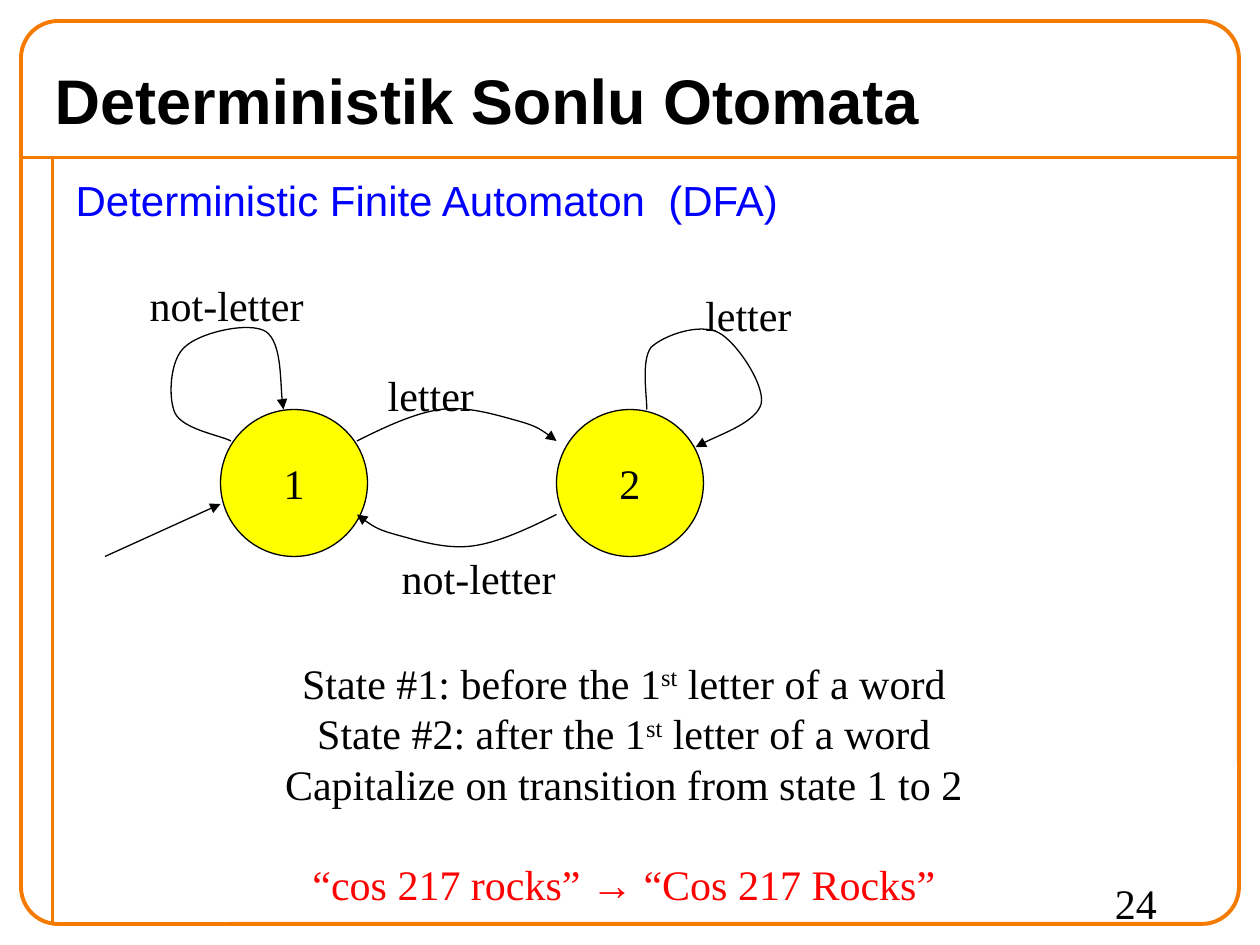
from dataclasses import dataclass

from lxml import etree
from pptx import Presentation
from pptx.dml.color import RGBColor
from pptx.enum import shapes, text
from pptx.oxml import ns
from pptx.util import Pt


@dataclass(frozen=True)
class Theme:
    """Hold the colours, fonts and sizes of the slide."""
    ink: RGBColor = RGBColor(0, 0, 0)
    border: RGBColor = RGBColor(0xF4, 0x7A, 0)
    heading: RGBColor = RGBColor(0, 0, 0xFF)
    state: RGBColor = RGBColor(0xFF, 0xFF, 0)
    example: RGBColor = RGBColor(0xFF, 0, 0)
    sans: str = "Arial"
    serif: str = "Times New Roman"
    title_size: float = 36
    text_size: float = 24
    leading: float = 28.8
    border_width: float = 2.25
    arrow_width: float = 0.75


THEME = Theme()
LETTER, NOT_LETTER = ("letter", 66), ("not-letter", 105)
ORDINAL = [("1", {}), ("st", {"baseline": 30000}), (" letter of a word", {})]


def assign(target, values):
    """Set every attribute named in values on the target."""
    for name, value in values.items():
        setattr(target, name, value)


def place(shape, box):
    """Move and size a shape to a box in points."""
    assign(shape, dict(zip(("left", "top", "width", "height"), map(Pt, box))))


def add_run(paragraph, words, color=THEME.ink, face=THEME.serif,
            size=THEME.text_size, bold=False, baseline=0):
    """Append one formatted run to a paragraph."""
    run = paragraph.add_run()
    run.text = words
    assign(run.font, {"name": face, "size": Pt(size), "bold": bold})
    run.font.color.rgb = color
    if baseline:
        run._r.get_or_add_rPr().set("baseline", str(baseline))


def add_label(slide, words, box, wrap=False):
    """Add a text box with one serif line."""
    label = slide.shapes.add_textbox(*map(Pt, box)).text_frame
    assign(label, {"word_wrap": wrap,
                   "auto_size": text.MSO_AUTO_SIZE.SHAPE_TO_FIT_TEXT})
    label.paragraphs[0].line_spacing = Pt(THEME.leading)
    add_run(label.paragraphs[0], words)


def stroke(shape, color, width, arrow=False):
    """Draw a shadowless line, with an optional arrowhead at its end."""
    shape.line.color.rgb = color
    shape.line.width = Pt(width)
    properties = shape._element.spPr
    if arrow:
        etree.SubElement(properties.find(ns.qn("a:ln")),
                         ns.qn("a:tailEnd"), type="triangle")
    etree.SubElement(properties, ns.qn("a:effectLst"))


def add_line(slide, start, end, color, width, arrow=False):
    """Add a straight line between two points."""
    line = slide.shapes.add_connector(
        shapes.MSO_CONNECTOR.STRAIGHT, *map(Pt, start + end))
    stroke(line, color, width, arrow)


def add_curve(slide, points, origin):
    """Add an arrow of cubic curves from a start and triples of points."""
    spots = [(Pt(origin[0] + x), Pt(origin[1] + y)) for x, y in points]
    builder = slide.shapes.build_freeform(*spots[0], scale=1.0)
    builder.add_line_segments(spots[1:], close=False)
    curve = builder.convert_to_shape()
    curve.fill.background()
    stroke(curve, THEME.ink, THEME.arrow_width, True)
    segments = list(curve._element.iter(ns.qn("a:lnTo")))
    outline = segments[0].getparent()
    for first in range(0, len(segments), 3):
        bezier = etree.SubElement(outline, ns.qn("a:cubicBezTo"))
        for segment in segments[first:first + 3]:
            bezier.append(segment[0])
            outline.remove(segment)


def draw_border(slide, box):
    """Draw the rounded border with its title rule and side rail."""
    left, top, width, height = box
    border = slide.shapes.add_shape(
        shapes.MSO_SHAPE.ROUNDED_RECTANGLE, *map(Pt, box))
    border.adjustments[0] = 0.041
    border.fill.background()
    stroke(border, THEME.border, THEME.border_width)
    rule, rail = top + 78, left + 18
    for start, end in (((left, rule), (left + width, rule)),
                       ((rail, rule), (rail, top + height))):
        add_line(slide, start, end, THEME.border, THEME.border_width)


def fill_title(slide, box):
    """Fill the title placeholder."""
    title = slide.shapes.title
    place(title, box)
    assign(title.text_frame, {"vertical_anchor": text.MSO_ANCHOR.MIDDLE,
                              "auto_size": text.MSO_AUTO_SIZE.NONE})
    heading = title.text_frame.paragraphs[0]
    heading.alignment = text.PP_ALIGN.LEFT
    add_run(heading, "Deterministik Sonlu Otomata", face=THEME.sans,
            size=THEME.title_size, bold=True)


def fill_body(slide, box):
    """Fill the body placeholder with the unbulleted subject."""
    body = slide.placeholders[1]
    place(body, box)
    body.text_frame.auto_size = text.MSO_AUTO_SIZE.NONE
    subject = body.text_frame.paragraphs[0]
    subject.space_before = Pt(15)
    properties = subject._p.get_or_add_pPr()
    properties.set("marL", str(Pt(17)))
    properties.set("indent", str(Pt(-17)))
    etree.SubElement(properties, ns.qn("a:buNone"))
    add_run(subject, "Deterministic Finite Automaton  (DFA)",
            THEME.heading, THEME.sans)


def draw_automaton(slide, box):
    """Draw the two states, their transitions and the entry arrow."""
    left, top = box[:2]
    diameter, pitch = 84, 192
    for index in range(2):
        state = slide.shapes.add_shape(
            shapes.MSO_SHAPE.OVAL, Pt(left + 66 + index * pitch), Pt(top + 78),
            Pt(diameter), Pt(diameter))
        state.fill.solid()
        state.fill.fore_color.rgb = THEME.state
        stroke(state, THEME.ink, THEME.arrow_width)
        assign(state.text_frame, {"word_wrap": False,
                                  "vertical_anchor": text.MSO_ANCHOR.MIDDLE})
        number = state.text_frame.paragraphs[0]
        assign(number, {"alignment": text.PP_ALIGN.CENTER,
                        "line_spacing": Pt(THEME.leading)})
        add_run(number, str(index + 1))

    forward = [(144, 96), (160, 88), (177, 80), (192, 78), (207, 76),
               (223, 81), (234, 84), (245, 87), (249, 89), (258, 96)]
    back = [(402 - x, 234 - y) for x, y in forward]
    first_loop = [(72, 96), (67, 93), (44.5, 89.5), (40, 80), (36, 71.5),
                  (37, 49), (46, 42), (54.5, 34), (82.5, 27.5), (92, 33.5),
                  (101, 40), (100, 68.5), (102, 78)]
    second_loop = [(309.5, 78), (310, 72), (306, 50.5), (312, 42.5),
                   (319.5, 35.5), (339.5, 28.5), (350.5, 34), (360.5, 39),
                   (377, 63.5), (375, 74.5), (372.5, 85), (345.5, 94.5),
                   (337.5, 99.5)]
    for points in (forward, back, first_loop, second_loop):
        add_curve(slide, points, (left, top))

    for (words, width), x, y in ((LETTER, 154.5, 51.5), (LETTER, 336, 6),
                                 (NOT_LETTER, 162.5, 156),
                                 (NOT_LETTER, 18.5, 0)):
        add_label(slide, words, (left + x, top + y, width, 36))
    add_line(slide, (left, top + 162), (left + 66, top + 132),
             THEME.ink, THEME.arrow_width, True)


def write_explanation(slide, box):
    """Write what the states mean, followed by an example."""
    red = {"color": THEME.example}
    lines = [
        [("State #1: before the ", {})] + ORDINAL,
        [("State #2: after the ", {})] + ORDINAL,
        [("Capitalize on transition from state 1 to 2", {})],
        [("“cos 217 rocks” ", red), ("→", {**red, "face": THEME.sans}),
         (" “Cos 217 Rocks”", red)],
    ]
    frame = slide.shapes.add_textbox(*map(Pt, box)).text_frame
    assign(frame, {"word_wrap": False,
                   "auto_size": text.MSO_AUTO_SIZE.SHAPE_TO_FIT_TEXT})
    for index, runs in enumerate(lines):
        line = frame.add_paragraph() if index else frame.paragraphs[0]
        assign(line, {"alignment": text.PP_ALIGN.CENTER,
                      "line_spacing": Pt(THEME.leading)})
        for words, style in runs:
            add_run(line, words, **style)
    line.space_before = Pt(THEME.leading)


def main():
    """Build the slide and save it."""
    deck = Presentation()
    assign(deck, {"slide_width": Pt(720), "slide_height": Pt(540)})
    slide = deck.slides.add_slide(deck.slide_layouts[1])
    draw_border(slide, (12, 12, 696, 516))
    fill_title(slide, (24, 30, 672, 54))
    fill_body(slide, (36, 96, 666, 432))
    draw_automaton(slide, (60, 156, 400, 192))
    write_explanation(slide, (155.5, 372, 402, 151))
    add_label(slide, "24", (630, 498, 72, 36), wrap=True)
    deck.save("out.pptx")


if __name__ == "__main__":
    main()
